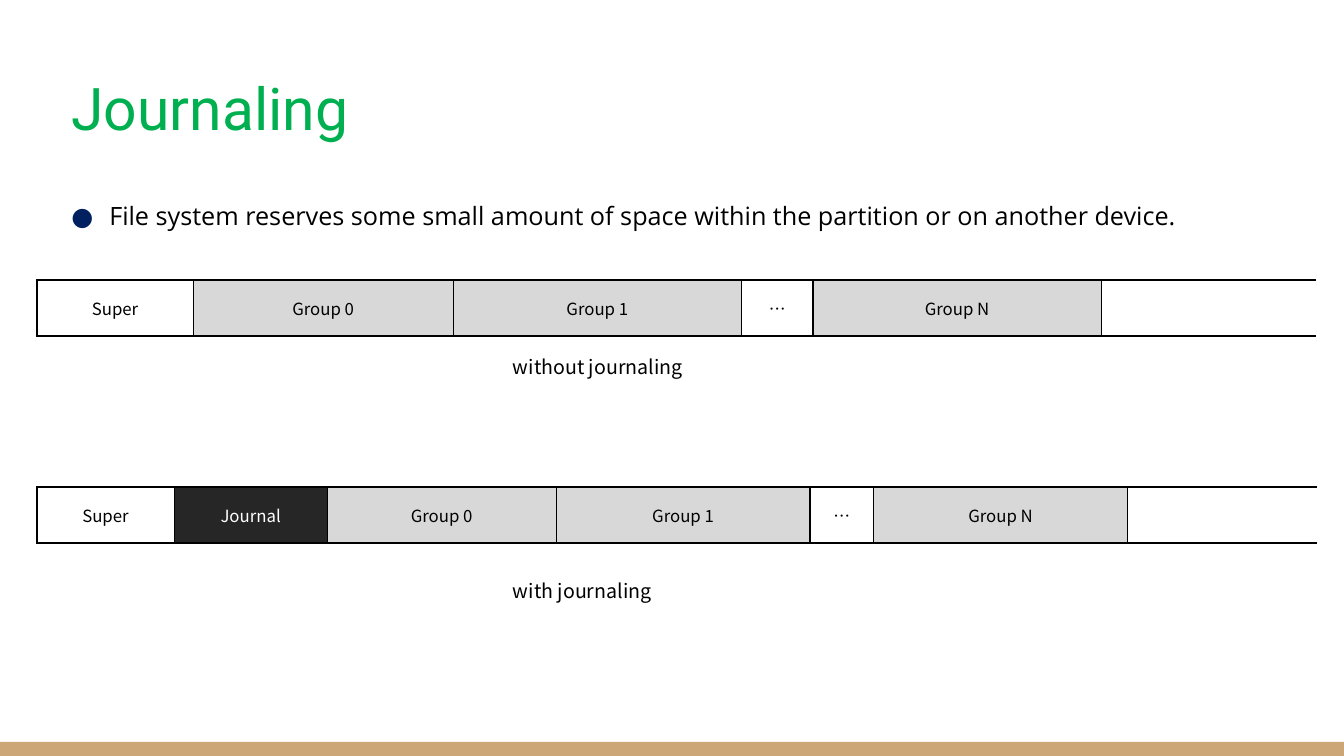
from dataclasses import dataclass

from lxml import etree
from pptx import Presentation
from pptx.dml.color import RGBColor
from pptx.enum import shapes, text
from pptx.oxml import ns
from pptx.util import Pt

BLACK = RGBColor(0x00, 0x00, 0x00)
WHITE = RGBColor(0xFF, 0xFF, 0xFF)
GREEN = RGBColor(0x00, 0xB0, 0x50)
NAVY = RGBColor(0x00, 0x20, 0x60)
GREY = RGBColor(0xD8, 0xD8, 0xD8)
CHARCOAL = RGBColor(0x26, 0x26, 0x26)
TAN = RGBColor(0xCC, 0xA6, 0x77)

SLIDE_WIDTH, SLIDE_HEIGHT = 960, 540
FOOTER_HEIGHT = 10
LAYOUT_LEFT, ROW_HEIGHT = 26.4, 40
DIAGRAM_FONT = "Noto Sans CJK KR"


@dataclass(frozen=True)
class Block:
    label: str
    width: float
    fill: RGBColor = GREY
    color: RGBColor = BLACK


@dataclass(frozen=True)
class DiskLayout:
    caption: str
    top: float
    caption_top: float
    blocks: tuple[Block, ...]


DISK_LAYOUTS = (
    DiskLayout("without journaling", 200, 249.8, (
        Block("Super", 111.6, WHITE),
        Block("Group 0", 185.8),
        Block("Group 1", 205.9),
        Block("…", 51.1, WHITE),
        Block("Group N", 205.9),
        Block("", 154.1, WHITE),
    )),
    DiskLayout("with journaling", 347.8, 410.2, (
        Block("Super", 98, WHITE),
        Block("Journal", 109.4, CHARCOAL, WHITE),
        Block("Group 0", 163.5),
        Block("Group 1", 181.4),
        Block("…", 45.4, WHITE),
        Block("Group N", 181.4),
        Block("", 136, WHITE),
    )),
)


def add_child(parent, tag: str, **attributes):
    return etree.SubElement(parent, ns.qn(tag), attributes)


def style_run(run, size: float, font: str, color: RGBColor) -> None:
    run.font.size = Pt(size)
    run.font.color.rgb = color
    run.font.name = font
    add_child(run.font._element, "a:ea", typeface=font)


def add_label(slide, words: str, left: float, top: float, width: float,
              height: float, size: float, font: str, color: RGBColor = BLACK):
    """Add a one-paragraph text box and return its text frame."""
    frame = slide.shapes.add_textbox(
        Pt(left), Pt(top), Pt(width), Pt(height)).text_frame
    frame.word_wrap = True
    frame.text = words
    style_run(frame.paragraphs[0].runs[0], size, font, color)
    return frame


def add_text_shadow(run) -> None:
    effects = etree.Element(ns.qn("a:effectLst"))
    shadow = add_child(effects, "a:outerShdw", dist="25400", dir="2700000")
    add_child(shadow, "a:srgbClr", val=str(BLACK))
    run.font._element.find(ns.qn("a:solidFill")).addnext(effects)


def add_bullet(paragraph, color: RGBColor, indent: float) -> None:
    properties = paragraph._p.get_or_add_pPr()
    properties.set("marL", str(Pt(indent)))
    properties.set("indent", str(-Pt(indent)))
    add_child(add_child(properties, "a:buClr"), "a:srgbClr", val=str(color))
    add_child(properties, "a:buFont", typeface="Open Sans")
    add_child(properties, "a:buChar", char="●")


def set_borders(cell, sides: str) -> None:
    properties = cell._tc.get_or_add_tcPr()
    for position, side in enumerate(sides):
        line = etree.Element(ns.qn(f"a:ln{side}"), w=str(Pt(1)))
        add_child(add_child(line, "a:solidFill"), "a:srgbClr", val=str(BLACK))
        properties.insert(position, line)


def add_disk_layout(slide, layout: DiskLayout) -> None:
    total = sum(block.width for block in layout.blocks)
    table = slide.shapes.add_table(
        1, len(layout.blocks), Pt(LAYOUT_LEFT), Pt(layout.top),
        Pt(total), Pt(ROW_HEIGHT)).table
    table.first_row = table.horz_banding = False
    for index, block in enumerate(layout.blocks):
        table.columns[index].width = Pt(block.width)
        cell = table.cell(0, index)
        cell.fill.solid()
        cell.fill.fore_color.rgb = block.fill
        cell.vertical_anchor = text.MSO_ANCHOR.MIDDLE
        set_borders(cell, "LRTB" if block.label else "LTB")
        if block.label:
            paragraph = cell.text_frame.paragraphs[0]
            paragraph.text = block.label
            paragraph.alignment = text.PP_ALIGN.CENTER
            style_run(paragraph.runs[0], 12, DIAGRAM_FONT, block.color)
    add_label(slide, layout.caption, 359.3, layout.caption_top, 196.6, 24.5,
              14, DIAGRAM_FONT)


def main() -> None:
    deck = Presentation()
    deck.slide_width, deck.slide_height = Pt(SLIDE_WIDTH), Pt(SLIDE_HEIGHT)
    slide = deck.slides.add_slide(deck.slide_layouts[6])

    footer = slide.shapes.add_shape(
        shapes.MSO_SHAPE.RECTANGLE, 0, Pt(SLIDE_HEIGHT - FOOTER_HEIGHT),
        Pt(SLIDE_WIDTH), Pt(FOOTER_HEIGHT))
    footer.shadow.inherit = False
    footer.fill.solid()
    footer.fill.fore_color.rgb = TAN
    footer.line.fill.background()

    title = add_label(slide, "Journaling", 44, 33, 872, 87, 42, "Roboto", GREEN)
    title.vertical_anchor = text.MSO_ANCHOR.MIDDLE
    add_text_shadow(title.paragraphs[0].runs[0])

    body = add_label(
        slide, "File system reserves some small amount of space within the "
        "partition or on another device.", 44, 129, 872, 352, 18, "Open Sans")
    body.paragraphs[0].line_spacing = 1.5
    add_bullet(body.paragraphs[0], NAVY, 27)

    for layout in DISK_LAYOUTS:
        add_disk_layout(slide, layout)

    deck.save("out.pptx")


if __name__ == "__main__":
    main()
